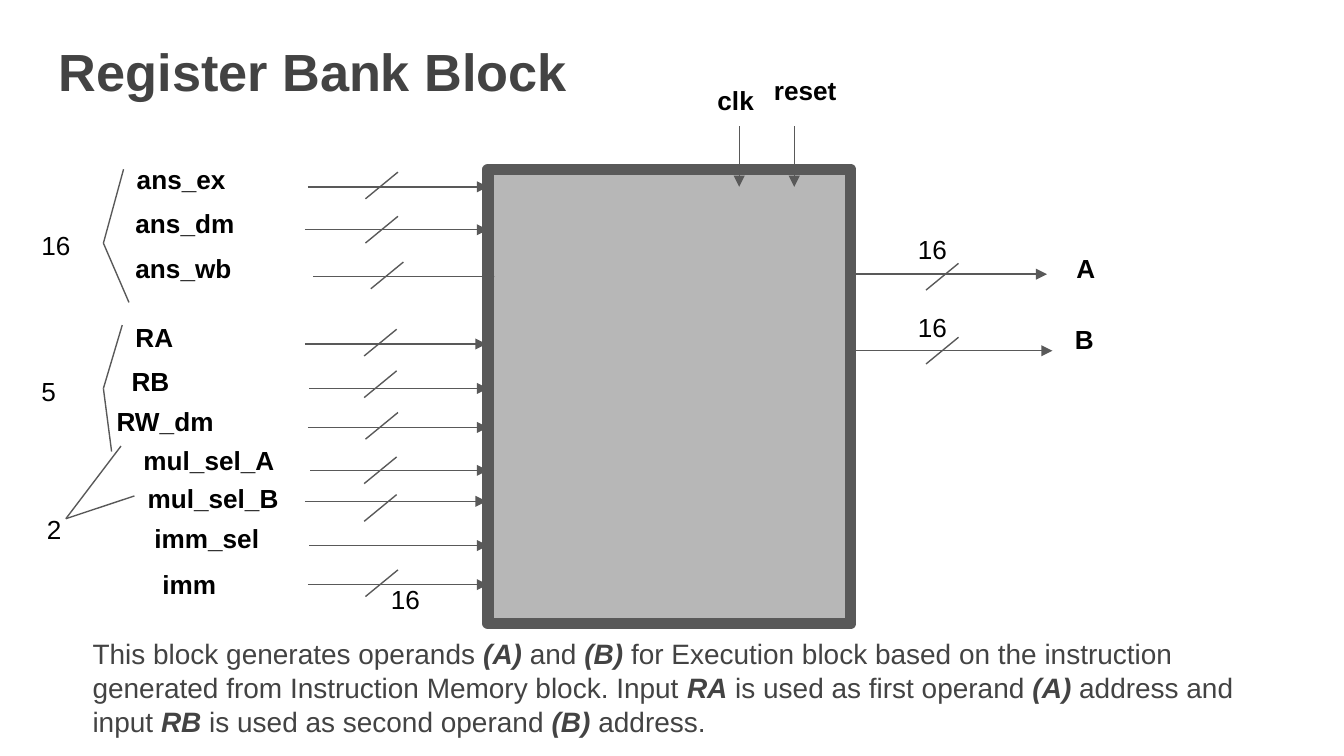
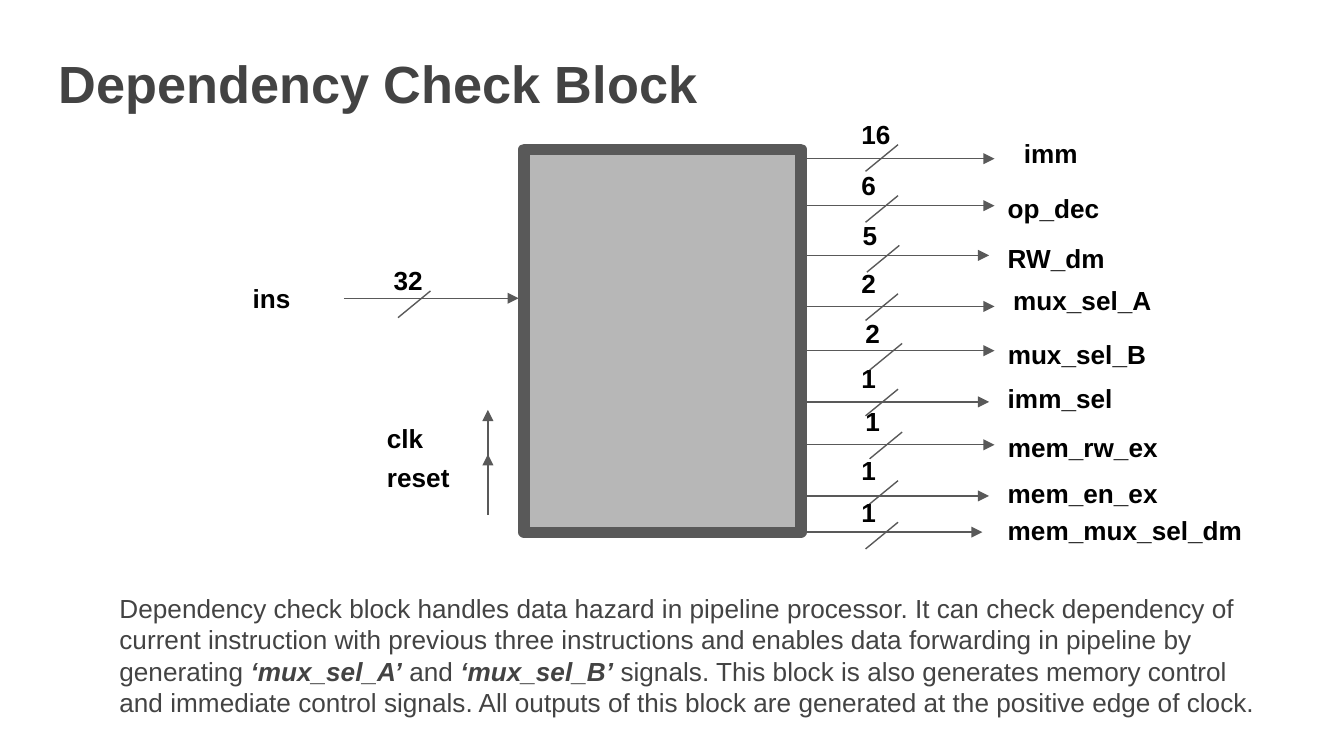
"""Build two slides of processor block diagrams: register bank and dependency check."""
from lxml.etree import SubElement
from pptx import Presentation
from pptx.dml.color import RGBColor
from pptx.enum.shapes import MSO_CONNECTOR as CONNECTOR, MSO_SHAPE as SHAPE
from pptx.enum.text import MSO_ANCHOR as ANCHOR
from pptx.oxml.ns import qn
from pptx.util import Pt

COLORS = {"text": "434343", "label": "000000", "block": "B7B7B7", "edge": "595959"}
FRAME = {"word_wrap": True, "margin_left": Pt(7.2), "margin_right": Pt(7.2),
         "margin_top": Pt(7.2), "margin_bottom": Pt(7.2)}
SLASH_W, SLASH_H = 17.4, 14.3


def write(slide, text, left, top, width, height, size=14, bold=True,
          color="label", anchor=ANCHOR.TOP):
    """Place text; parts between asterisks are bold italic."""
    frame = slide.shapes.add_textbox(Pt(left), Pt(top), Pt(width), Pt(height)).text_frame
    for key, value in {**FRAME, "vertical_anchor": anchor}.items():
        setattr(frame, key, value)
    for index, part in enumerate(text.split("*")):
        run = frame.paragraphs[0].add_run()
        run.text = part
        stressed = index % 2 == 1
        style = {"name": "Arial", "size": Pt(size), "bold": bold or stressed, "italic": stressed}
        for key, value in style.items():
            setattr(run.font, key, value)
        run.font.color.rgb = RGBColor.from_string(COLORS[color])


def draw_line(slide, x1, y1, x2, y2, arrow=False):
    """Draw a thin line, with an arrowhead at its end if asked."""
    line = slide.shapes.add_connector(CONNECTOR.STRAIGHT, Pt(x1), Pt(y1), Pt(x2), Pt(y2))
    line.line.width = Pt(0.75)
    line.line.color.rgb = RGBColor.from_string(COLORS["edge"])
    properties = line._element.spPr
    if arrow:
        SubElement(properties.find(qn("a:ln")), qn("a:tailEnd"), type="triangle")
    SubElement(properties, qn("a:effectLst"))


prs = Presentation()
prs.slide_width, prs.slide_height = Pt(720), Pt(405)

pages = [
    ("Register Bank Block", 13.7, (261.4, 90.7, 194.4, 243.4),
     "This block generates operands *(A)* and *(B)* for Execution block based on the "
     "instruction generated from Instruction Memory block. Input *RA* is used as first "
     "operand *(A)* address and input *RB* is used as second operand *(B)* address.",
     (42.5, 334.1, 639.4, 54.7), 15, ANCHOR.TOP),
    ("Dependency Check Block", 20.2, (280.8, 79.9, 148.3, 205.2),
     "Dependency check block handles data hazard in pipeline processor. It can check "
     "dependency of current instruction with previous three instructions and enables data "
     "forwarding in pipeline by generating *‘mux_sel_A’* and *‘mux_sel_B’* signals. This "
     "block is also generates memory control and immediate control signals. All outputs of "
     "this block are generated at the positive edge of clock.",
     (56.9, 306.7, 632.2, 88.6), 14, ANCHOR.MIDDLE),
]
slides = []
for title, title_top, block_box, note, note_box, note_size, note_anchor in pages:
    slide = prs.slides.add_slide(prs.slide_layouts[6])
    write(slide, title, 24.5, title_top, 671, 45.4, size=28, color="text")
    block = slide.shapes.add_shape(SHAPE.RECTANGLE, *map(Pt, block_box))
    block.shadow.inherit = False
    block.fill.solid()
    block.fill.fore_color.rgb = RGBColor.from_string(COLORS["block"])
    block.line.color.rgb = RGBColor.from_string(COLORS["edge"])
    block.line.width = Pt(6)
    SubElement(block._element.spPr.find(qn("a:ln")), qn("a:round"))
    write(slide, note, *note_box, size=note_size, bold=False, color="text", anchor=note_anchor)
    slides.append(slide)
register_bank, dependency_check = slides

bank_inputs = [
    ("ans_ex", 66.2, 80.6, 19.4, 164.9, 100.1, 261.4),
    ("ans_dm", 65.5, 103.7, 19.4, 163.4, 123.1, 261.4),
    ("ans_wb", 65.5, 128.2, 19.4, 167.8, 148.3, 265),
    ("RA", 65.5, 164.9, 19.4, 163.4, 184.3, 260.6),
    ("RB", 63.4, 188.6, 19.4, 165.6, 208.1, 261.4),
    ("RW_dm", 55.4, 210.2, 19.4, 164.9, 229, 261.4),
    ("mul_sel_A", 69.8, 231.1, 19.4, 166.3, 252, 261.4),
    ("mul_sel_B", 72, 251.3, 28.8, 163.4, 268.6, 260.6),
    ("imm_sel", 75.6, 272.9, 19.4, 165.6, 292.3, 261.4),
    ("imm", 79.9, 297.4, 19.4, 164.9, 313.2, 261.4),
]
for name, left, top, height, wire_left, wire_y, wire_right in bank_inputs:
    write(register_bank, name, left, top, 103.7, height)
    draw_line(register_bank, wire_left, wire_y, wire_right, wire_y, arrow=True)

bank_slashes = [(195.8, 92.2), (195.8, 115.9), (198.7, 140.4), (195.1, 176.4), (195.1, 198.7),
                (195.8, 221), (195.1, 244.8), (195.1, 265), (195.8, 305.3),
                (496.1, 141.1), (496.1, 180.7)]
for left, top in bank_slashes:
    draw_line(register_bank, left + SLASH_W, top, left, top + SLASH_H)

for name, left, top, width, wire_left, wire_y, wire_right in [
        ("A", 569.5, 128.2, 69.1, 457.2, 146.9, 560.9),
        ("B", 568.8, 166.3, 126.7, 453.6, 187.9, 563.8)]:
    write(register_bank, name, left, top, width, 28.8)
    draw_line(register_bank, wire_left, wire_y, wire_right, wire_y, arrow=True)

for name, left, height, wire_x in [("clk", 377.3, 28.8, 396), ("reset", 407.5, 8.6, 425.5)]:
    write(register_bank, name, left, 38.2, 69.1, height)
    draw_line(register_bank, wire_x, 67.7, wire_x, 100.1, arrow=True)

for bits, left, top, width, height in [
        ("16", 15.1, 115.9, 40.3, 28.8), ("5", 15.1, 193.7, 40.3, 28.8),
        ("2", 18, 267.8, 17.3, 19.4), ("16", 202.3, 305.3, 40.3, 28.8),
        ("16", 484.6, 118.1, 40.3, 28.8), ("16", 484.6, 159.8, 40.3, 28.8)]:
    write(register_bank, bits, left, top, width, height, bold=False)

for upper, corner, lower in [
        ((66.2, 90.7), (55.4, 130.3), (69.1, 162)),
        ((65.5, 174.2), (55.4, 208.1), (59.8, 241.9)),
        ((64.8, 239), (35.3, 277.9), (72, 265.7))]:
    draw_line(register_bank, *upper, *corner)
    draw_line(register_bank, *corner, *lower)

check_signals = [
    ("ins", 128.2, 144, 85, 19.4, 184.3, 159.8, 277.9),
    ("imm", 541.4, 66.2, 69.1, 28.8, 429.1, 85, 532.8),
    ("op_dec", 532.8, 95.8, 69.1, 28.8, 429.1, 110.2, 532.8),
    ("RW_dm", 532.8, 123.8, 103.7, 28.8, 432, 136.8, 529.9),
    ("mux_sel_A", 535.7, 145.4, 124.6, 28.8, 429.1, 164.2, 532.8),
    ("mux_sel_B", 532.8, 174.2, 111.6, 28.8, 429.1, 187.9, 532.8),
    ("imm_sel", 532.8, 197.3, 103.7, 32.4, 432, 215.3, 529.9),
    ("mem_rw_ex", 532.8, 223.9, 111.6, 28.8, 429.1, 238.3, 532.8),
    ("mem_en_ex", 532.8, 247.7, 103.7, 32.4, 432, 265.7, 529.9),
    ("mem_mux_sel_dm", 532.8, 268.6, 141.1, 72, 430.6, 285.1, 526.3),
]
centred = {"RW_dm", "imm_sel", "mem_en_ex"}
for name, left, top, width, height, wire_left, wire_y, wire_right in check_signals:
    anchor = ANCHOR.MIDDLE if name in centred else ANCHOR.TOP
    write(dependency_check, name, left, top, width, height, anchor=anchor)
    draw_line(dependency_check, wire_left, wire_y, wire_right, wire_y, arrow=True)

for bits, left, top in [
        ("32", 203.8, 134.6), ("16", 454.3, 56.2), ("6", 454.3, 83.5), ("5", 455, 110.2),
        ("2", 454.3, 136.1), ("2", 456.5, 162.7), ("1", 454.3, 187.2), ("1", 456.5, 210.2),
        ("1", 454.3, 236.2), ("1", 454.3, 258.5)]:
    write(dependency_check, bits, left, top, 34.6, 28.8)
    slash_left, slash_top = left + 9.4, top + 21.3
    draw_line(dependency_check, slash_left + SLASH_W, slash_top,
              slash_left, slash_top + SLASH_H)

for name, top, width, height, wire_bottom in [
        ("clk", 218.9, 41, 19.4, 252), ("reset", 239.8, 69.1, 32.4, 275.8)]:
    write(dependency_check, name, 200.2, top, width, height)
    draw_line(dependency_check, 261.4, wire_bottom, 261.4, wire_bottom - 32.4, arrow=True)

prs.save("out.pptx")
